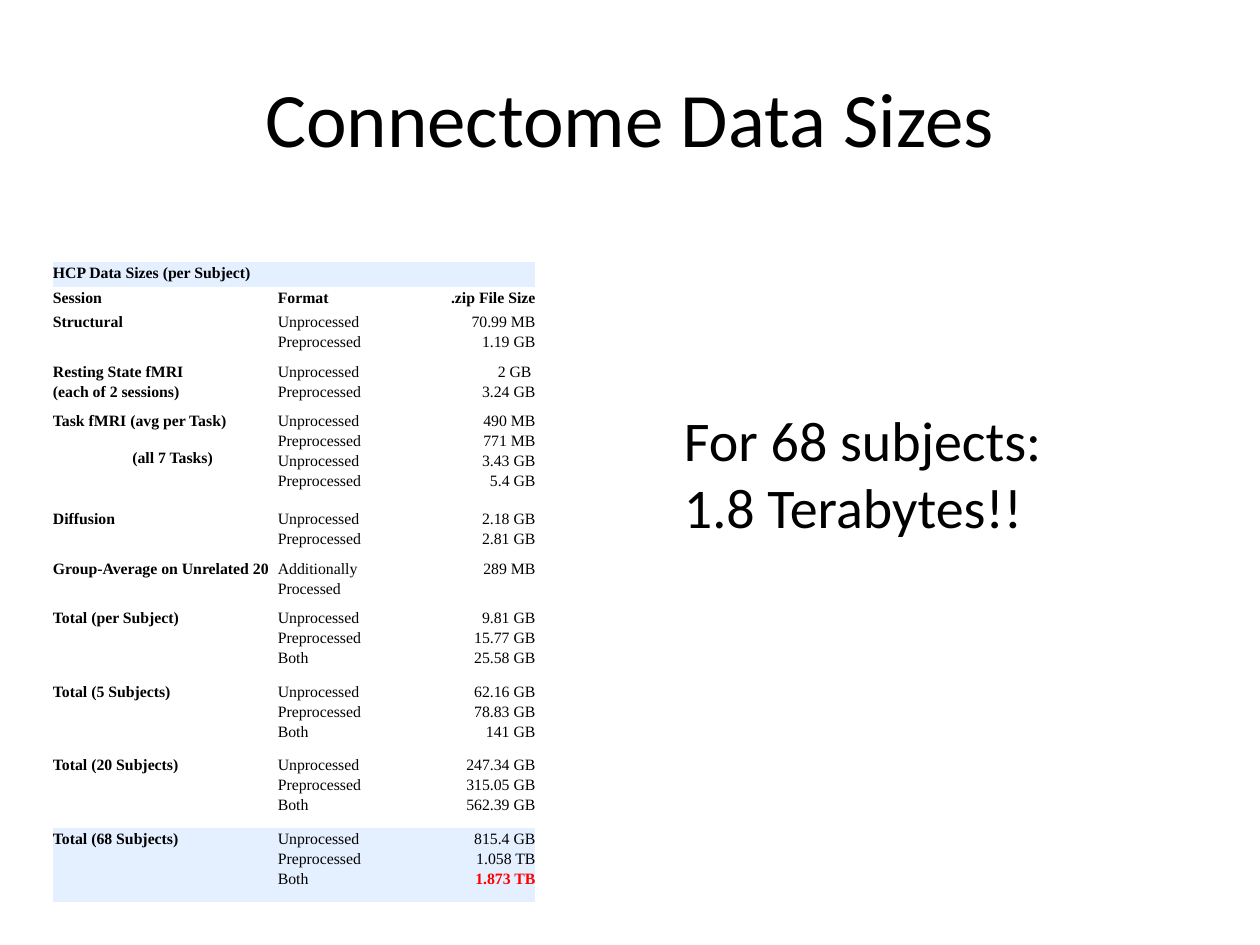
from copy import deepcopy

from pptx import Presentation
from pptx.dml.color import RGBColor
from pptx.enum.text import MSO_ANCHOR, MSO_AUTO_SIZE, PP_ALIGN
from pptx.oxml.ns import qn
from pptx.util import Inches, Pt

WIDE, HIGH = Inches(10), Inches(7.5)
HUES = {"ink": "000000", "band": "E4EFFF", "hot": "FF0000"}
PAIR = "Unprocessed\nPreprocessed"
TRIO = PAIR + "\nBoth"
PLAIN = "{2D5ABB26-0587-4C30-8999-92F81FD0307C}"
COLS = [1.79, 1.07, 0.07, 0.91]
ROWS = [
    (1, "HCP Data Sizes (per Subject)", "", ""),
    (1, "Session", "Format", ".zip File Size"),
    (2, "Structural", PAIR, "70.99 MB\n1.19 GB"),
    (2, "Resting State fMRI\n(each of 2 sessions)", PAIR, "2 GB \n3.24 GB"),
    (4, "Task fMRI (avg per Task)", PAIR + "\n" + PAIR,
     "490 MB\n771 MB\n3.43 GB\n5.4 GB"),
    (2, "Diffusion", PAIR, "2.18 GB\n2.81 GB"),
    (2, "Group-Average on Unrelated 20", "Additionally Processed", "289 MB"),
    (3, "Total (per Subject)", TRIO, "9.81 GB\n15.77 GB\n25.58 GB"),
    (3, "Total (5 Subjects)", TRIO, "62.16 GB\n78.83 GB\n141 GB"),
    (3, "Total (20 Subjects)", TRIO, "247.34 GB\n315.05 GB\n562.39 GB"),
    (3, "Total (68 Subjects)", TRIO, "815.4 GB\n1.058 TB\n1.873 TB"),
]
TASK = 4
TOTAL = len(ROWS) - 1


def paint(hue):
    return RGBColor.from_string(HUES[hue])


def write(frame, text, size, face="Calibri", bold=False, align=PP_ALIGN.LEFT,
          lead=None, after=None, indent=0, hot=None, more=False):
    para = frame.add_paragraph() if more else frame.paragraphs[0]
    para.alignment = align
    para.line_spacing = lead
    if after is not None:
        para.space_after = Pt(after)
    if indent:
        para._p.get_or_add_pPr().set("marL", str(Inches(indent)))
    for num, line in enumerate(text.split("\n")):
        if num:
            para.add_line_break()
        run = para.add_run()
        run.text = line
        font = run.font
        font.name, font.size = face, Pt(size)
        font.bold = bold or line == hot
        font.color.rgb = paint("hot" if line == hot else "ink")
    for gap in para._p.findall(qn("a:br")):
        gap.insert(0, deepcopy(para.runs[0]._r.rPr))
    para._p.get_or_add_endParaRPr().set("sz", str(size * 100))


def add_box(slide, box):
    left, top, width, height = box
    return slide.shapes.add_textbox(
        int(left * WIDE), int(top * HIGH), int(width * WIDE), int(height * HIGH)
    ).text_frame


def draw_title(slide, box):
    frame = add_box(slide, box)
    frame.word_wrap = True
    frame.vertical_anchor = MSO_ANCHOR.MIDDLE
    write(frame, "Connectome Data Sizes", 44, align=PP_ALIGN.CENTER)


def draw_note(slide, box):
    frame = add_box(slide, box)
    frame.word_wrap = False
    frame.auto_size = MSO_AUTO_SIZE.SHAPE_TO_FIT_TEXT
    write(frame, "For 68 subjects:", 32)
    write(frame, "1.8 Terabytes!!", 32, more=True)


def draw_table(slide, box):
    left, top, width, height = box
    grid = slide.shapes.add_table(
        len(ROWS), len(COLS), int(left * WIDE), int(top * HIGH),
        int(width * WIDE), int(height * HIGH)
    ).table
    grid.first_row = grid.horz_banding = False
    grid._tbl.tblPr.find(qn("a:tableStyleId")).text = PLAIN
    for col, share in zip(grid.columns, COLS):
        col.width = int(width * WIDE * share / sum(COLS))
    unit = height * HIGH / sum(row[0] for row in ROWS)
    look = dict(size=9, face="Times New Roman", lead=1.15, after=10)
    for num, (lines, name, form, size) in enumerate(ROWS):
        grid.rows[num].height = int(lines * unit)
        cells = [grid.cell(num, col) for col in range(len(COLS))]
        texts = [name, form, size, ""] if num == 1 else [name, form, "", size]
        for col, (cell, text) in enumerate(zip(cells, texts)):
            cell.margin_left = cell.margin_right = 0
            cell.margin_top = cell.margin_bottom = 0
            if num in (0, TOTAL):
                cell.fill.solid()
                cell.fill.fore_color.rgb = paint("band")
            else:
                cell.fill.background()
            write(cell.text_frame, text, bold=col == 0 or num < 2,
                  align=PP_ALIGN.RIGHT if col > 1 else PP_ALIGN.LEFT,
                  hot="1.873 TB", **look)
        if num == 0:
            cells[0].merge(cells[3])
        elif num == 1:
            cells[2].merge(cells[3])
        else:
            cells[1].merge(cells[2])
    write(grid.cell(TASK, 0).text_frame, "(all 7 Tasks)", bold=True,
          indent=0.63, more=True, **look)


def main():
    deck = Presentation()
    deck.slide_width, deck.slide_height = WIDE, HIGH
    slide = deck.slides.add_slide(deck.slide_layouts[6])
    draw_title(slide, (0.05, 0.04, 0.9, 1 / 6))
    draw_table(slide, (0.042, 2.08 / 7.5, 0.383, 5.08 / 7.5))
    draw_note(slide, (0.533, 3.17 / 7.5, 0.307, 1.18 / 7.5))
    deck.save("out.pptx")


if __name__ == "__main__":
    main()
